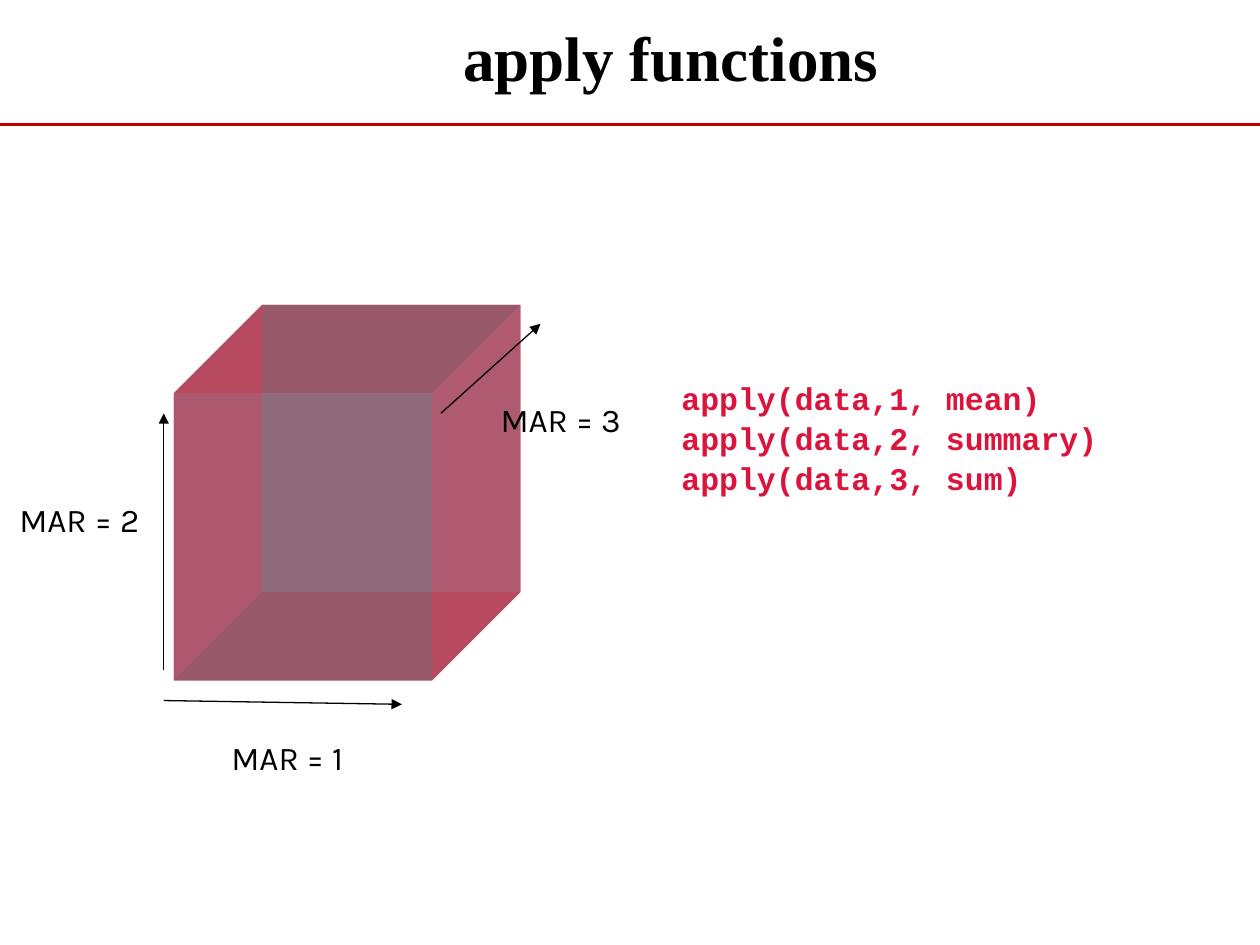
from dataclasses import dataclass

from lxml.etree import SubElement
from pptx import Presentation
from pptx.dml.color import RGBColor
from pptx.enum.shapes import MSO_CONNECTOR, MSO_SHAPE
from pptx.enum.text import MSO_AUTO_SIZE as AutoSize, PP_ALIGN as Align
from pptx.oxml.ns import qn
from pptx.util import Inches, Pt


@dataclass(frozen=True)
class Theme:
    ink: str = "000000"
    rule: str = "C00000"
    code: str = "DC143C"
    front: str = "954F72"
    corner: str = "B84A5F"
    left: str = "C9636C"
    right: str = "AF5A70"
    top: str = "985A6A"
    bottom: str = "9B6562"
    back: str = "878784"
    title_font: str = "Times New Roman"
    label_font: str = "Karla"
    code_font: str = "Courier New"
    title_size: int = 36
    label_size: int = 19
    code_size: int = 18


THEME = Theme()


def paint(shape, color):
    shape.shadow.inherit = False
    shape.fill.solid()
    shape.fill.fore_color.rgb = RGBColor.from_string(color)
    shape.line.fill.background()


def add_line(slide, start, end, color, width, arrow=False):
    ends = [Inches(value) for value in (*start, *end)]
    line = slide.shapes.add_connector(MSO_CONNECTOR.STRAIGHT, *ends)
    line.line.color.rgb = RGBColor.from_string(color)
    line.line.width = Pt(width)
    if arrow:
        SubElement(line.line._get_or_add_ln(), qn("a:tailEnd"), type="triangle")
    SubElement(line._element.spPr, qn("a:effectLst"))


def add_text(slide, box, lines, font, size, color, bold=False,
             align=Align.LEFT, wrap=True, fit=AutoSize.SHAPE_TO_FIT_TEXT, gap=0):
    frame = slide.shapes.add_textbox(*map(Inches, box)).text_frame
    frame.word_wrap = wrap
    frame.auto_size = fit
    frame.text = "\n".join(lines)
    for paragraph in frame.paragraphs:
        paragraph.alignment = align
        paragraph.space_before = Pt(gap)
        paragraph.font.name = font
        paragraph.font.size = Pt(size)
        paragraph.font.bold = bold
        paragraph.font.color.rgb = RGBColor.from_string(color)


def add_face(slide, points, color):
    corners = [(Inches(x), Inches(y)) for x, y in points]
    builder = slide.shapes.build_freeform(*corners[0], scale=1.0)
    builder.add_line_segments(corners[1:], close=True)
    paint(builder.convert_to_shape(), color)


def add_header(slide, box):
    left, top, width, height = box
    add_text(slide, (left + 3.58, top + 0.1, 3.53, 0.71), ["apply functions"],
             THEME.title_font, THEME.title_size, THEME.ink, bold=True, wrap=False)
    add_line(slide, (left, top + height), (left + width, top + height),
             THEME.rule, 1.75)


def add_cube(slide, box, depth):
    left, top, width, height = box
    right, bottom = left + width, top + height
    back_left, back_top = left + depth, top - depth
    back_right, back_bottom = right + depth, bottom - depth
    faces = [
        ([(left, top), (back_left, back_top), (back_right, back_top),
          (back_right, back_bottom), (right, bottom), (left, bottom)], THEME.corner),
        ([(back_left, back_top), (back_right, back_top), (right, top),
          (back_left, top)], THEME.top),
        ([(back_right, back_top), (back_right, back_bottom), (right, back_bottom),
          (right, top)], THEME.right),
        ([(left, top), (back_left, top), (back_left, back_bottom),
          (left, bottom)], THEME.left),
        ([(left, bottom), (back_left, back_bottom), (right, back_bottom),
          (right, bottom)], THEME.bottom),
        ([(back_left, top), (right, top), (right, back_bottom),
          (back_left, back_bottom)], THEME.back),
    ]
    for points, color in faces:
        add_face(slide, points, color)
    front = slide.shapes.add_shape(MSO_SHAPE.RECTANGLE, *map(Inches, box))
    paint(front, THEME.front)
    tint = front._element.spPr.find(qn("a:solidFill"))[0]
    SubElement(tint, qn("a:alpha"), val="50000")


def add_margins(slide, box):
    left, top, width, height = box
    right, bottom = left + width, top + height
    margins = [
        ("MAR = 1", (left - 0.08, bottom + 0.16), (right - 0.24, bottom + 0.19),
         (left + 0.23, bottom + 0.4, 1.34, 0.42)),
        ("MAR = 2", (left - 0.08, bottom - 0.08), (left - 0.08, top + 0.16),
         (left - 1.38, top + 0.79, 1.26, 0.42)),
        ("MAR = 3", (right + 0.07, top + 0.16), (right + 0.86, top - 0.55),
         (right + 0.39, top, 1.26, 0.42)),
    ]
    for label, start, end, label_box in margins:
        add_line(slide, start, end, THEME.ink, 0.75, arrow=True)
        add_text(slide, label_box, [label], THEME.label_font, THEME.label_size,
                 THEME.ink, align=Align.CENTER)


def add_code(slide, box):
    calls = ["apply(data,1, mean)", "apply(data,2, summary)", "apply(data,3, sum)"]
    add_text(slide, box, calls, THEME.code_font, THEME.code_size, THEME.code,
             bold=True, fit=AutoSize.NONE, gap=1.3)


def main():
    deck = Presentation()
    deck.slide_width, deck.slide_height = Inches(10), Inches(7.5)
    slide = deck.slides.add_slide(deck.slide_layouts[6])
    cube = (1.38, 3.12, 2.05, 2.28)
    add_cube(slide, cube, 0.7)
    add_margins(slide, cube)
    add_code(slide, (5.31, 2.96, 4.17, 1.62))
    add_header(slide, (0, 0, 10, 0.99))
    deck.save("out.pptx")


if __name__ == "__main__":
    main()
